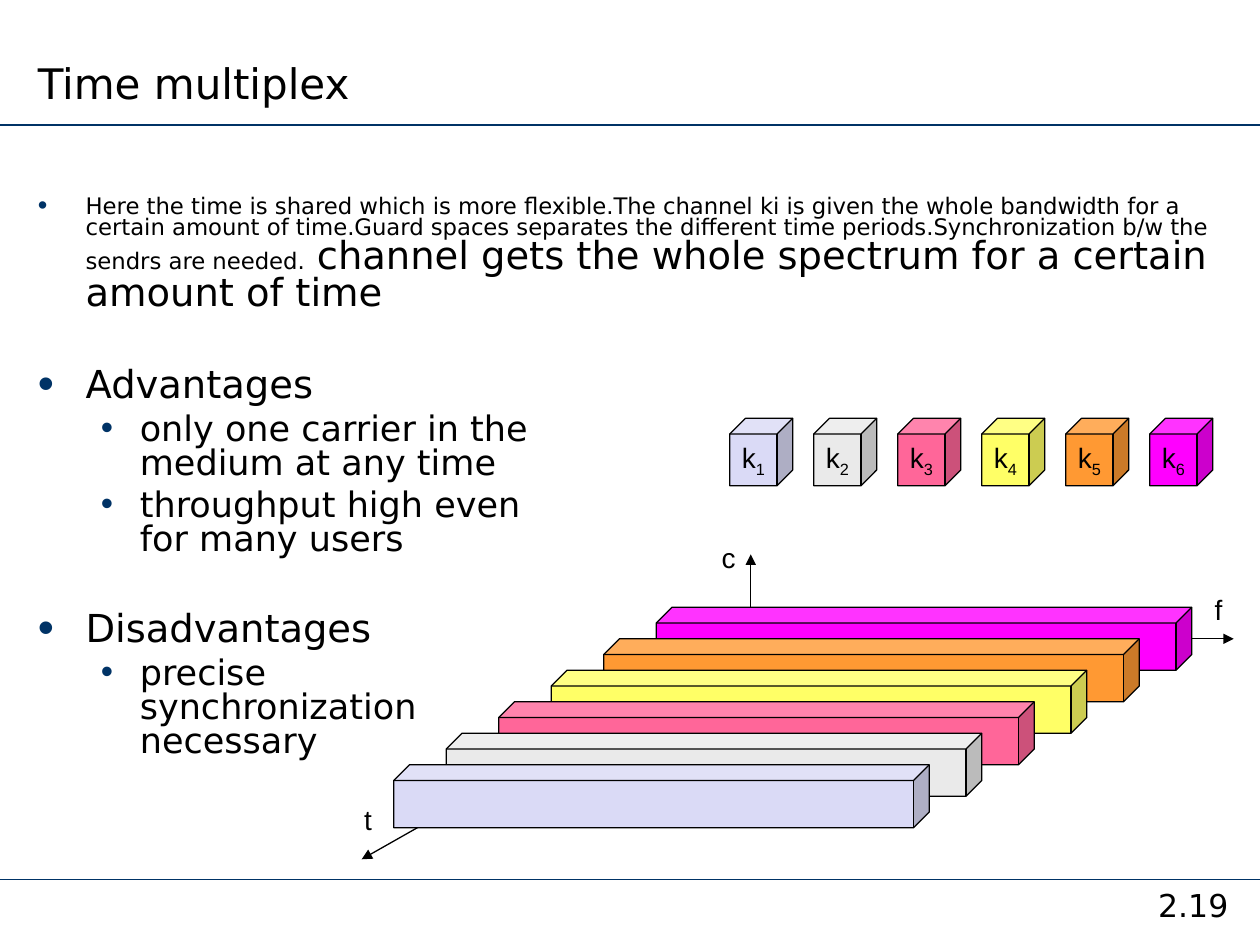
"""Build the time multiplex slide: bullets, channel cubes and a c-t-f diagram."""
from dataclasses import dataclass
from typing import Any

from lxml.etree import SubElement
from pptx import Presentation
from pptx.dml.color import RGBColor as RGB
from pptx.enum.shapes import MSO_CONNECTOR as CONN, MSO_SHAPE as SHAPE
from pptx.enum.text import MSO_ANCHOR as ANCHOR, MSO_AUTO_SIZE as FIT, PP_ALIGN as ALIGN
from pptx.oxml.ns import qn
from pptx.util import Inches, Pt

COLS, ROWS = 24, 30
WIDTH, HEIGHT = Inches(10), Inches(7.5)


@dataclass(frozen=True)
class Theme:
    sans: str = "DejaVu Sans"
    label: str = "Arial"
    ink: RGB = RGB(0, 0, 0)
    navy: RGB = RGB(0x00, 0x33, 0x66)
    channels: tuple[str, ...] = ("DADAF6", "EAEAEA", "FF6699", "FFFF66", "FF9933", "FF00FF")
    title: float = 24
    head: float = 22
    item: float = 20
    page: float = 18
    mark: float = 16
    note: float = 13
    rule: float = 1
    outline: float = 0.75


@dataclass(frozen=True)
class Box:
    col: float
    row: float
    cols: float
    rows: float


@dataclass(frozen=True)
class Line:
    start: tuple[float, float]
    end: tuple[float, float]
    color: RGB
    width: float
    arrow: bool = False


@dataclass(frozen=True)
class Bullet:
    runs: tuple[tuple[str, float], ...]
    level: int = 0
    before: float = 0


@dataclass(frozen=True)
class Level:
    margin: float
    indent: float
    bullet_size: int


T = Theme()
LEVELS = (Level(0.38, -0.38, 120000), Level(0.81, -0.31, 100000))
BULLETS = (
    Bullet((("Here the time is shared which is more flexible.The channel ki is given the whole "
             "bandwidth for a certain amount of time.Guard spaces separates the different time "
             "periods.Synchronization b/w the sendrs are needed.", T.note),
            (" channel gets the whole spectrum for a certain amount of time", T.head))),
    Bullet((("Advantages", T.head),), before=31.5),
    Bullet((("only one carrier in the\nmedium at any time", T.item),), 1, 5),
    Bullet((("throughput high even\nfor many users", T.item),), 1, 5),
    Bullet((("Disadvantages", T.head),), before=31.5),
    Bullet((("precise\nsynchronization\nnecessary", T.item),), 1, 5),
)
ORIGIN = (14.3, 20.28)
RULES = tuple(Line((0, row), (COLS, row), T.navy, T.rule) for row in (3.96, 27.92))
AXES = tuple(Line(ORIGIN, end, T.ink, T.outline, True)
             for end in ((6.89, 27.28), (14.3, 17.6), (23.5, 20.28)))
LABELS = {"f": Box(22.9, 18.6, 0.62, 1.48), "t": Box(6.7, 25.28, 0.62, 1.48),
          "c": Box(13.51, 16.96, 0.74, 1.48)}


def x(col: float) -> int:
    """Turn columns into a length."""
    return round(WIDTH * col / COLS)


def y(row: float) -> int:
    """Turn rows into a length."""
    return round(HEIGHT * row / ROWS)


def apply(obj: Any, values: dict[str, Any]) -> None:
    """Set each named attribute on an object."""
    for name, value in values.items():
        setattr(obj, name, value)


def area(box: Box) -> tuple[int, int, int, int]:
    """Give left, top, width and height of a grid box."""
    return x(box.col), y(box.row), x(box.cols), y(box.rows)


def place(sp: Any, box: Box) -> None:
    """Move a placeholder to a grid box."""
    apply(sp, dict(zip(("left", "top", "width", "height"), area(box))))


def add_run(p: Any, text: str, size: float, face: str = T.sans) -> Any:
    """Add formatted text, with a line break at each newline."""
    for i, part in enumerate(text.split("\n")):
        if i:
            p.add_line_break()
        r = p.add_run()
        r.text = part
        apply(r.font, {"name": face, "size": Pt(size)})
        r.font.color.rgb = T.ink
    return r


def add_line(s: Any, line: Line) -> None:
    """Draw a straight line, with an arrowhead if asked."""
    (c1, r1), (c2, r2) = line.start, line.end
    cx = s.shapes.add_connector(CONN.STRAIGHT, x(c1), y(r1), x(c2), y(r2))
    cx.line.color.rgb = line.color
    cx.line.width = Pt(line.width)
    if line.arrow:
        SubElement(cx.line._get_or_add_ln(), qn("a:tailEnd"), type="triangle")
    SubElement(cx._element.spPr, qn("a:effectLst"))


def add_label(s: Any, text: str, box: Box, size: float, face: str, **align: Any) -> None:
    """Add a one-line text box."""
    tf = s.shapes.add_textbox(*area(box)).text_frame
    tf.word_wrap = bool(align)
    apply(tf.paragraphs[0], align)
    add_run(tf.paragraphs[0], text, size, face)


def add_cube(s: Any, box: Box, color: str) -> Any:
    """Draw an outlined cube and return its text frame."""
    sp = s.shapes.add_shape(SHAPE.CUBE, *area(box))
    sp.shadow.inherit = False
    sp.fill.solid()
    sp.fill.fore_color.rgb = RGB.from_string(color)
    sp.line.color.rgb = T.ink
    sp.line.width = Pt(T.outline)
    return sp.text_frame


def add_channel(s: Any, number: int, box: Box, color: str) -> None:
    """Draw a cube named k with its subscript number."""
    tf = add_cube(s, box, color)
    apply(tf, {"word_wrap": False, "vertical_anchor": ANCHOR.MIDDLE})
    p = tf.paragraphs[0]
    p.alignment = ALIGN.CENTER
    add_run(p, "k", T.mark, T.label)
    r = add_run(p, str(number), T.mark, T.label)
    r.font._element.set("baseline", "-25000")


def add_bullet(p: Any, item: Bullet) -> None:
    """Fill a paragraph as a bulleted item."""
    level = LEVELS[item.level]
    p.level = item.level
    pPr = p._p.get_or_add_pPr()
    apply(p, {"line_spacing": 0.8, "space_before": Pt(item.before), "alignment": ALIGN.LEFT})
    pPr.set("marL", str(Inches(level.margin)))
    pPr.set("indent", str(Inches(level.indent)))
    SubElement(SubElement(pPr, qn("a:buClr")), qn("a:srgbClr"), val=str(T.navy))
    SubElement(pPr, qn("a:buSzPct"), val=str(level.bullet_size))
    SubElement(pPr, qn("a:buChar"), char="•")
    for text, size in item.runs:
        add_run(p, text, size)


def main() -> None:
    """Build and save the slide."""
    prs = Presentation()
    apply(prs, {"slide_width": WIDTH, "slide_height": HEIGHT})
    s = prs.slides.add_slide(prs.slide_layouts[1])
    title, body = s.placeholders
    place(title, Box(0.48, 0, 15.86, 3.64))
    apply(title.text_frame, {"vertical_anchor": ANCHOR.BOTTOM, "auto_size": FIT.NONE})
    title.text_frame.paragraphs[0].alignment = ALIGN.LEFT
    add_run(title.text_frame.paragraphs[0], "Time multiplex", T.title)
    place(body, Box(0.48, 6.04, 23.06, 21.64))
    tf = body.text_frame
    tf.auto_size = FIT.NONE
    for i, item in enumerate(BULLETS):
        add_bullet(tf.add_paragraph() if i else tf.paragraphs[0], item)
    for line in RULES + AXES:
        add_line(s, line)
    add_label(s, "2.19", Box(21.46, 27.92, 2.54, 1.76), T.page, T.sans, alignment=ALIGN.CENTER)
    for text, box in LABELS.items():
        add_label(s, text, box, T.mark, T.label)
    for i, color in reversed(list(enumerate(T.channels))):
        add_cube(s, Box(7.5 + i, 24.28 - i, 10.2, 2), color)
    for i, color in enumerate(T.channels):
        add_channel(s, i + 1, Box(13.9 + 1.6 * i, 13.28, 1.2, 2.14), color)
    prs.save("out.pptx")


if __name__ == "__main__":
    main()
